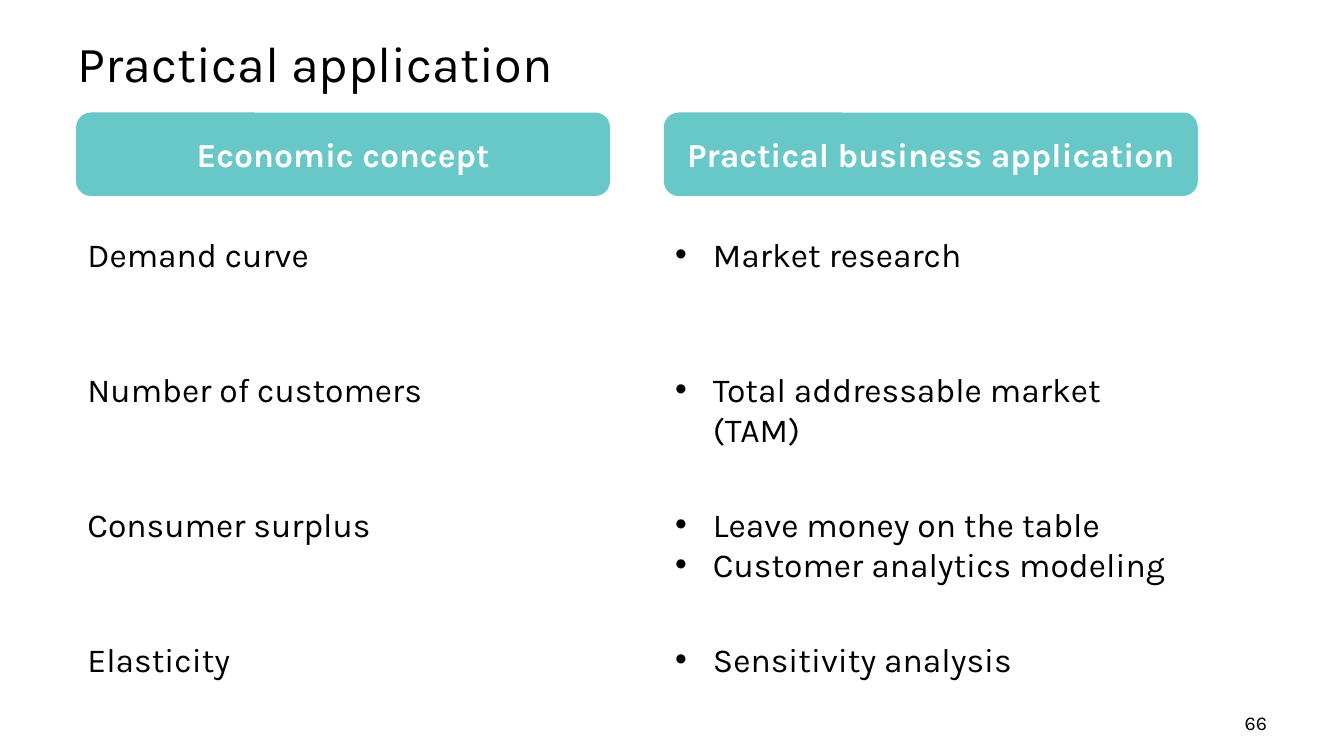
from dataclasses import dataclass

from lxml.etree import SubElement
from pptx import Presentation
from pptx.dml.color import RGBColor
from pptx.enum.shapes import MSO_SHAPE as SHAPE
from pptx.enum.text import MSO_ANCHOR as ANCHOR, PP_ALIGN as ALIGN
from pptx.oxml.ns import qn
from pptx.util import Pt


@dataclass(frozen=True)
class Theme:
    """Colours, font and type sizes of the deck."""
    teal: RGBColor = RGBColor(0x67, 0xC8, 0xC7)
    black: RGBColor = RGBColor(0, 0, 0)
    white: RGBColor = RGBColor(255, 255, 255)
    font: str = "Karla"
    title: int = 36
    body: int = 24
    small: int = 14


THEME = Theme()
HEADINGS = ("Economic concept", "Practical business application")
ROWS = (
    ("Demand curve", ["Market research"]),
    ("Number of customers", ["Total addressable market (TAM)"]),
    ("Consumer surplus", ["Leave money on the table", "Customer analytics modeling"]),
    ("Elasticity", ["Sensitivity analysis"]),
)


def add_bullet(p, indent=27):
    """Give a paragraph a round bullet with a hanging indent."""
    pPr = p._p.get_or_add_pPr()
    pPr.set("marL", str(Pt(indent)))
    pPr.set("indent", str(-Pt(indent)))
    SubElement(pPr, qn("a:buFont"), typeface="Arial")
    SubElement(pPr, qn("a:buChar"), char="•")


def write(sp, lines, size=THEME.body, color=THEME.black, bold=False,
          align=ALIGN.LEFT, anchor=ANCHOR.TOP, bullets=False):
    """Fill a shape with formatted paragraphs, one for each line."""
    tf = sp.text_frame
    tf.word_wrap = True
    tf.vertical_anchor = anchor
    for i, line in enumerate(lines):
        p = tf.add_paragraph() if i else tf.paragraphs[0]
        p.alignment = align
        if bullets:
            add_bullet(p)
        r = p.add_run()
        r.text = line
        r.font.name = THEME.font
        r.font.size = Pt(size)
        r.font.bold = bold
        r.font.color.rgb = color


def add_text(slide, box, lines, **fmt):
    """Place a text box with formatted lines."""
    write(slide.shapes.add_textbox(*map(Pt, box)), lines, **fmt)


def add_title(slide, box, text):
    """Move the title placeholder into its box and fill it."""
    sp = slide.shapes.title
    sp.left, sp.top, sp.width, sp.height = map(Pt, box)
    write(sp, [text], size=THEME.title, anchor=ANCHOR.MIDDLE)


def add_heading(slide, box, text):
    """Draw a rounded column heading."""
    sp = slide.shapes.add_shape(SHAPE.ROUNDED_RECTANGLE, *map(Pt, box))
    sp.shadow.inherit = False
    sp.fill.solid()
    sp.fill.fore_color.rgb = THEME.teal
    sp.line.color.rgb = THEME.teal
    sp.line.width = Pt(2)
    write(sp, [text], color=THEME.white, bold=True,
          align=ALIGN.CENTER, anchor=ANCHOR.MIDDLE)


def add_comparison(slide, box, gap=40.4, heading_h=57.6, first_row=82, pitch=96.5):
    """Lay out two headed columns of matching rows in a box."""
    left, top, width, _ = box
    col_w = (width - gap) / 2
    columns = (left, left + col_w + gap)
    for x, heading in zip(columns, HEADINGS):
        add_heading(slide, (x, top, col_w, heading_h), heading)
    for i, (concept, applications) in enumerate(ROWS):
        y = top + first_row + i * pitch
        for x, lines in zip(columns, ([concept], applications)):
            height = 36 + 29.5 * (len(lines) - 1)
            add_text(slide, (x, y, col_w, height), lines, bullets=lines is applications)


def main():
    """Build the slide and save it."""
    prs = Presentation()
    prs.slide_width, prs.slide_height = Pt(960), Pt(540)
    slide = prs.slides.add_slide(prs.slide_layouts[5])
    add_title(slide, (48.2, 18.7, 864, 51.1), "Practical application")
    add_comparison(slide, (55.4, 81.4, 799.2, 407.5))
    add_text(slide, (688.3, 504, 223.9, 24.5), ["66"],
             size=THEME.small, align=ALIGN.RIGHT)
    prs.save("out.pptx")


if __name__ == "__main__":
    main()
